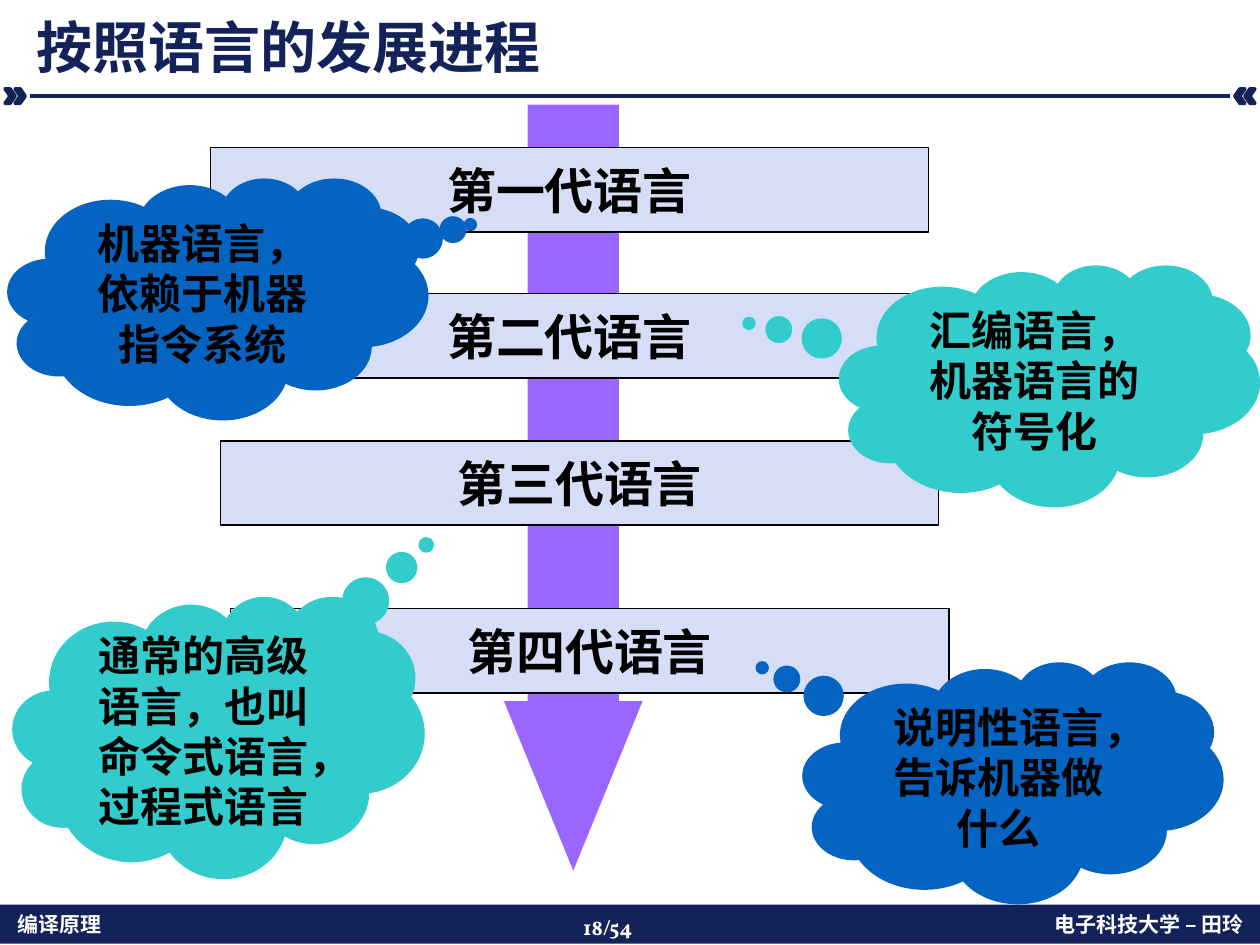
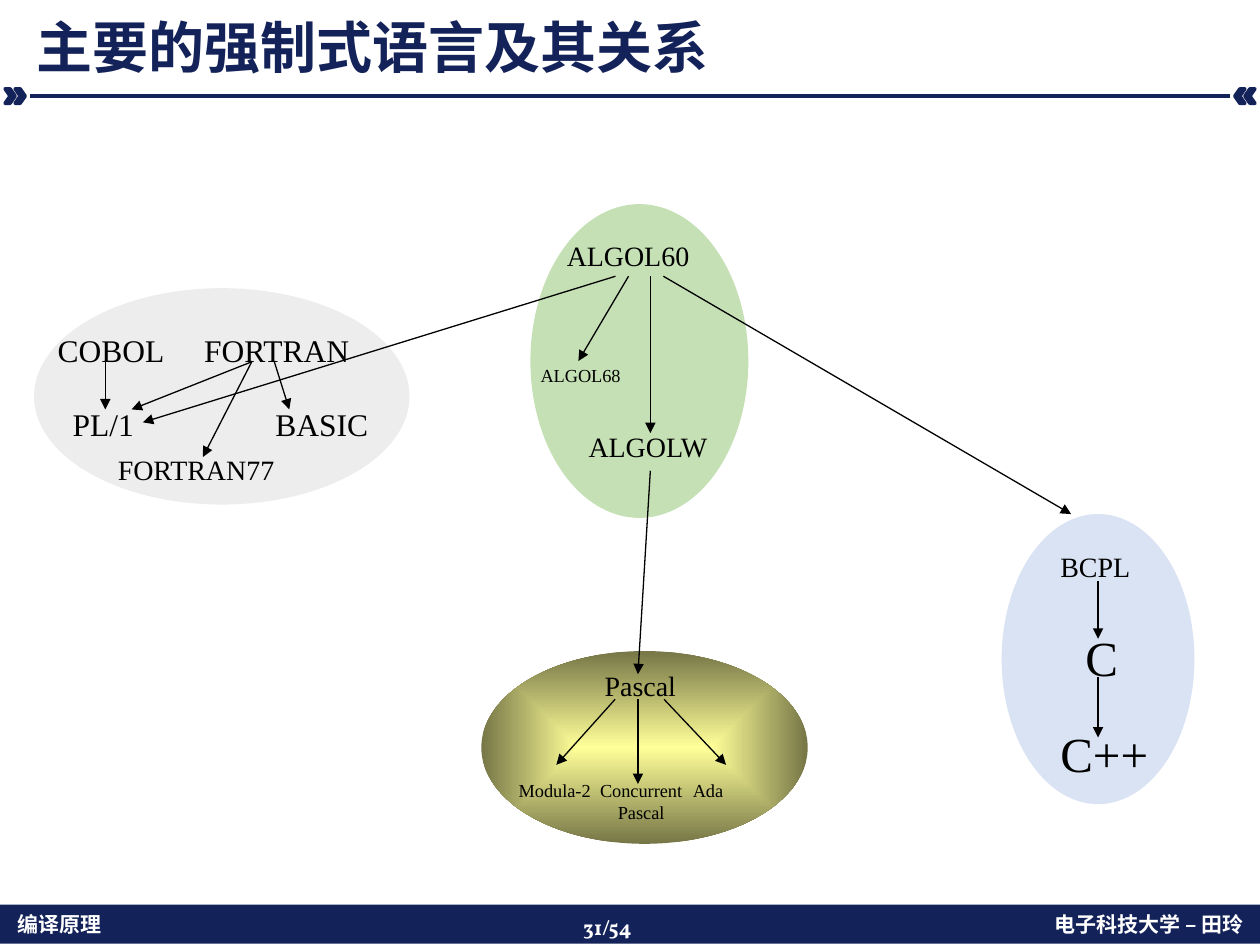
from dataclasses import dataclass

from lxml.etree import SubElement
from pptx import Presentation
from pptx.dml.color import RGBColor
from pptx.enum.shapes import MSO_CONNECTOR, MSO_SHAPE as Preset
from pptx.enum.text import MSO_ANCHOR as Anchor, PP_ALIGN as Align
from pptx.oxml.ns import qn
from pptx.util import Inches, Pt

NAVY = RGBColor(0x13, 0x22, 0x59)
WHITE = RGBColor(0xFF, 0xFF, 0xFF)
BLACK = RGBColor(0, 0, 0)
PURPLE = RGBColor(0x99, 0x66, 0xFF)
LAVENDER = RGBColor(0xD6, 0xDD, 0xF6)
BLUE = RGBColor(0x05, 0x63, 0xC1)
TEAL = RGBColor(0x33, 0xCC, 0xCC)
GREY = RGBColor(0xED, 0xED, 0xED)
GREEN = RGBColor(0xC5, 0xE0, 0xB4)
PALE_BLUE = RGBColor(0xDA, 0xE3, 0xF3)
YELLOW = RGBColor(0xFF, 0xFF, 0x99)
OLIVE = RGBColor(0x76, 0x76, 0x47)

HEI = "Noto Sans CJK SC"
SERIF = "Times New Roman"
DISPLAY = "Vollkorn"

COLUMNS, ROWS = 100, 75
CELL = Inches(0.1)

FOOTER_FONT = {"name": HEI, "size": Pt(12), "bold": True}
PAGE_FONT = FOOTER_FONT | {"name": DISPLAY}
TITLE_FONT = {"name": DISPLAY, "size": Pt(32), "bold": True}
BAR_FONT = {"name": HEI, "size": Pt(28), "bold": True}
CLOUD_FONT = {"name": HEI, "size": Pt(24), "bold": True}


@dataclass
class Box:
    """A rectangle measured in grid cells."""
    column: float
    row: float
    columns: float
    rows: float

    def point(self, across, down):
        return self.column + across * self.columns, self.row + down * self.rows

    def area(self, across, down, width, height):
        return Box(*self.point(across, down), width * self.columns, height * self.rows)

    def lengths(self):
        cells = self.column, self.row, self.columns, self.rows
        return [round(value * CELL) for value in cells]


PAGE = Box(0, 0, COLUMNS, ROWS)


def write(holder, text, font, color=BLACK, align=Align.LEFT, anchor=Anchor.TOP, wrap=True):
    frame = holder.text_frame
    frame.word_wrap = wrap
    frame.vertical_anchor = anchor
    paragraph = frame.paragraphs[0]
    paragraph.alignment = align
    run = paragraph.add_run()
    run.text = text
    for attribute, value in font.items():
        setattr(run.font, attribute, value)
    run.font.color.rgb = color
    east_asian = HEI if font["name"] == DISPLAY else font["name"]
    SubElement(run._r.get_or_add_rPr(), qn("a:ea"), typeface=east_asian)
    return paragraph


def add_text(slide, box, text, font, **layout):
    return write(slide.shapes.add_textbox(*box.lengths()), text, font, **layout)


def add_preset(slide, preset, box, fill, outline=None, weight=1, adjustments=()):
    shape = slide.shapes.add_shape(preset, *box.lengths())
    shape.shadow.inherit = False
    shape.fill.solid()
    shape.fill.fore_color.rgb = fill
    if outline is None:
        shape.line.fill.background()
    else:
        shape.line.color.rgb = outline
        shape.line.width = Pt(weight)
    for index, value in enumerate(adjustments):
        shape.adjustments[index] = value
    return shape


def add_line(slide, start, end, color=BLACK, weight=0.75, arrow=True):
    ends = [round(value * CELL) for value in (*start, *end)]
    line = slide.shapes.add_connector(MSO_CONNECTOR.STRAIGHT, *ends)
    line.line.color.rgb = color
    line.line.width = Pt(weight)
    properties = line._element.spPr
    if arrow:
        SubElement(properties.find(qn("a:ln")), qn("a:tailEnd"), type="triangle")
    SubElement(properties, qn("a:effectLst"))


def add_header(slide, box, title):
    heading = add_text(slide, box.area(0.019, 0.06, 0.961, 0.78), title, TITLE_FONT,
                       color=NAVY, anchor=Anchor.BOTTOM)
    heading.line_spacing = 0.9
    middle = 0.93
    for across, turn in ((0.004, 0), (0.012, 0), (0.98, 180), (0.988, 180)):
        chevron = add_preset(slide, Preset.CHEVRON, box.area(across, middle - 0.07, 0.008, 0.14),
                             NAVY, NAVY, 2)
        chevron.rotation = turn
    add_line(slide, box.point(0.024, middle), box.point(0.976, middle), NAVY, 2, arrow=False)


def add_footer(slide, box, page):
    add_preset(slide, Preset.RECTANGLE, box, NAVY)
    for across, down, width, text, font, align in (
            (0.004, 0.03, 0.294, "编译原理", FOOTER_FONT, Align.LEFT),
            (0.698, 0.03, 0.299, "电子科技大学 – 田玲", FOOTER_FONT, Align.RIGHT),
            (0.453, 0.1, 0.094, f"{page}/54", PAGE_FONT, Align.LEFT)):
        add_text(slide, box.area(across, down, width, 0.97), text, font, color=WHITE, align=align)


def new_slide(deck, title, page):
    slide = deck.slides.add_slide(deck.slide_layouts[6])
    add_footer(slide, Box(0, 71.8, COLUMNS, 3.1), page)
    add_header(slide, Box(0, 0, COLUMNS, 8.2), title)
    return slide


def add_generations(slide, box):
    """Four generation bars across the time arrow, each with a thought cloud."""
    def cells(column, row, columns, rows):
        return box.area(column / COLUMNS, row / ROWS, columns / COLUMNS, rows / ROWS)

    add_preset(slide, Preset.DOWN_ARROW, cells(40, 8.3, 11, 60.8), PURPLE,
               adjustments=(0.659, 1.222))
    for name, column, row in (("第一代语言", 16.7, 11.7), ("第二代语言", 16.7, 23.3),
                              ("第三代语言", 17.5, 35), ("第四代语言", 18.3, 48.3)):
        bar = add_preset(slide, Preset.RECTANGLE, cells(column, row, 57, 6.7), LAVENDER, BLACK)
        write(bar, name, BAR_FONT, align=Align.CENTER, anchor=Anchor.MIDDLE, wrap=False)

    for remark, place, fill, pointer in (
            ("机器语言，依赖于机器指令系统", (0.6, 14.1, 33.4, 19.2), BLUE, (0.6, -0.306)),
            ("汇编语言，机器语言的符号化", (66.6, 21, 33.4, 19.2), TEAL, (-0.714, -0.257)),
            ("通常的高级语言，也叫命令式语言，过程式语言", (1, 47.3, 32.7, 22.4), TEAL,
             (0.504, -0.681)),
            ("说明性语言，告诉机器做什么", (63.7, 52.5, 33.4, 19.2), BLUE, (-0.596, -0.474))):
        cloud = add_preset(slide, Preset.CLOUD_CALLOUT, cells(*place), fill, adjustments=pointer)
        write(cloud, remark, CLOUD_FONT, align=Align.CENTER, anchor=Anchor.MIDDLE)


def shade_from_centre(shape, inner, outer):
    shape.fill.gradient()
    for stop, color in zip(shape.fill.gradient_stops, (inner, outer)):
        stop.color.rgb = color
    gradient = shape._element.spPr.find(qn("a:gradFill"))
    gradient.remove(gradient.find(qn("a:lin")))
    centre = SubElement(gradient, qn("a:path"), {"path": "shape"})
    SubElement(centre, qn("a:fillToRect"), {side: "50000" for side in "ltrb"})


def add_family(slide, box, fill, languages, descents):
    """An ellipse of languages; every place is a share of its box."""
    ellipse = add_preset(slide, Preset.OVAL, box, fill)
    for name, size, across, down, width in languages:
        label = box.area(across, down, width, 0)
        label.rows = size / 6 + 1
        small = size < 12
        add_text(slide, label, name, {"name": SERIF, "size": Pt(size)}, wrap=small,
                 align=Align.CENTER if small else Align.LEFT)
    for start, end in descents:
        add_line(slide, box.point(*start), box.point(*end))
    return ellipse


def add_language_map(slide, box):
    fortran = box.area(0.027, 0.305, 0.298, 0.229)
    algol = box.area(0.421, 0.216, 0.173, 0.332)
    pascal = box.area(0.382, 0.689, 0.259, 0.204)
    bcpl = box.area(0.795, 0.544, 0.153, 0.307)

    add_family(slide, fortran, GREY,
               [("COBOL", 18, 0.03, 0.17, 0.36), ("FORTRAN", 18, 0.42, 0.17, 0.46),
                ("PL/1", 18, 0.07, 0.51, 0.23), ("BASIC", 18, 0.61, 0.51, 0.32),
                ("FORTRAN77", 16, 0.19, 0.73, 0.49)],
               [((0.19, 0.34), (0.19, 0.56)), ((0.58, 0.34), (0.26, 0.56)),
                ((0.58, 0.34), (0.45, 0.78)), ((0.64, 0.34), (0.68, 0.56))])
    add_family(slide, algol, GREEN,
               [("ALGOL60", 16, 0.11, 0.09, 0.68), ("ALGOL68", 10.5, -0.07, 0.49, 0.6),
                ("ALGOLW", 16, 0.21, 0.7, 0.66)],
               [((0.45, 0.23), (0.22, 0.5)), ((0.55, 0.23), (0.55, 0.73))])
    pascal_ellipse = add_family(
        slide, pascal, YELLOW,
        [("Pascal", 16, 0.34, 0.06, 0.3), ("Modula-2", 10.5, 0.06, 0.63, 0.33),
         ("Concurrent Pascal", 10.5, 0.31, 0.63, 0.36), ("Ada", 10.5, 0.6, 0.63, 0.19)],
        [((0.41, 0.25), (0.23, 0.59)), ((0.48, 0.25), (0.48, 0.69)),
         ((0.56, 0.25), (0.75, 0.59))])
    shade_from_centre(pascal_ellipse, YELLOW, OLIVE)
    add_family(slide, bcpl, PALE_BLUE,
               [("BCPL", 16, 0.24, 0.1, 0.5), ("C", 28, 0.37, 0.37, 0.3),
                ("C++", 28, 0.24, 0.7, 0.59)],
               [((0.5, 0.23), (0.5, 0.43)), ((0.5, 0.56), (0.5, 0.77))])

    add_line(slide, algol.point(0.39, 0.23), fortran.point(0.29, 0.62))
    add_line(slide, algol.point(0.61, 0.23), bcpl.point(0.36, 0))
    add_line(slide, algol.point(0.55, 0.85), pascal.point(0.48, 0.12))


def main():
    deck = Presentation()
    deck.slide_width, deck.slide_height = COLUMNS * CELL, ROWS * CELL
    add_generations(new_slide(deck, "按照语言的发展进程", 18), PAGE)
    add_language_map(new_slide(deck, "主要的强制式语言及其关系", 31), PAGE)
    deck.save("out.pptx")


if __name__ == "__main__":
    main()
